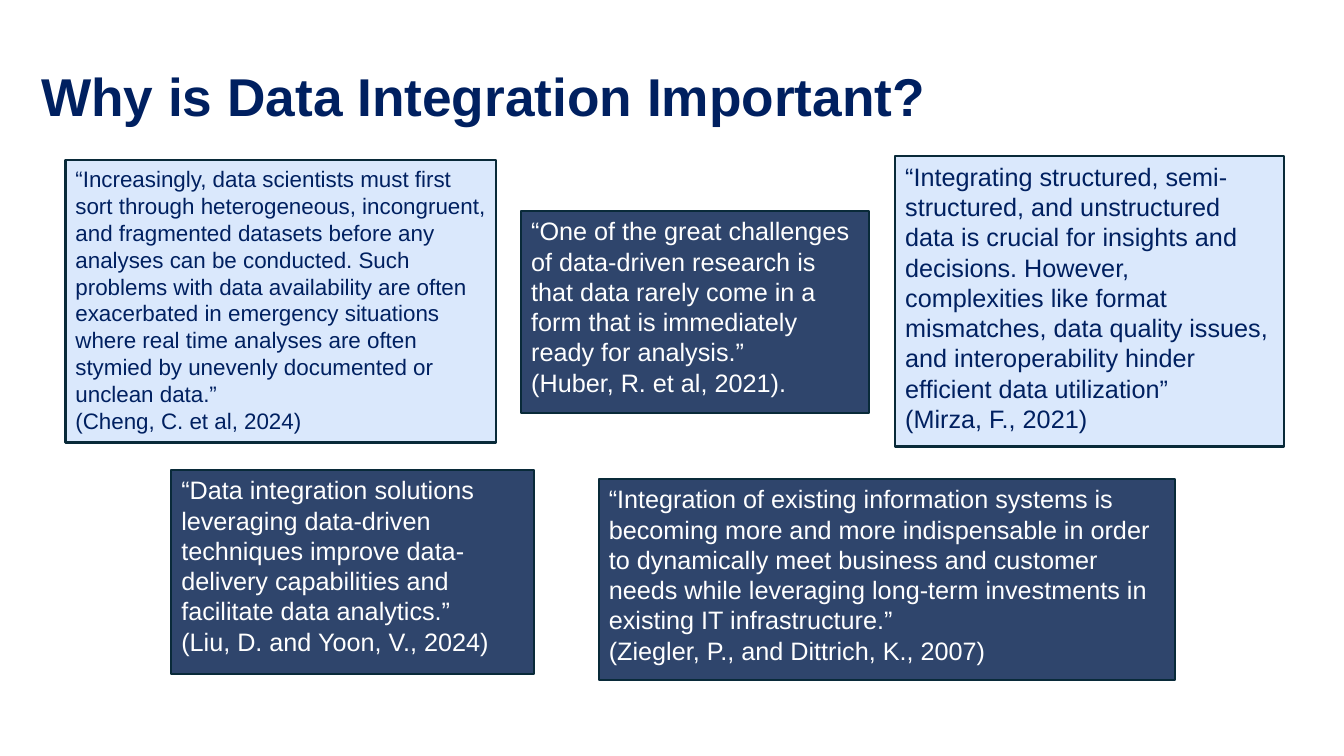
from pptx import Presentation
from pptx import util as u
from pptx.dml.color import RGBColor
from pptx.enum import shapes, text

# Content: (tone, size, (left, top, width, height), paragraphs)
TITLE = "Why is Data Integration Important?"
QUOTES = [
    ("light", "small", (0.65, 1.59, 4.27, 2.8), [
        "“Increasingly, data scientists must first sort through heterogeneous, "
        "incongruent, and fragmented datasets before any analyses can be conducted. "
        "Such problems with data availability are often exacerbated in emergency "
        "situations where real time analyses are often stymied by unevenly "
        "documented or unclean data.”",
        "(Cheng, C. et al, 2024)"]),
    ("light", "body", (8.88, 1.55, 3.86, 2.88), [
        "“Integrating structured, semi-",
        "structured, and unstructured data is crucial for insights and decisions. "
        "However, complexities like format",
        "mismatches, data quality issues, and interoperability hinder efficient "
        "data utilization”",
        "(Mirza, F., 2021)"]),
    ("dark", "body", (1.7, 4.66, 3.6, 2.03), [
        "“Data integration solutions leveraging data-driven techniques improve "
        "data-delivery capabilities and facilitate data analytics.”",
        "(Liu, D. and Yoon, V., 2024)"]),
    ("dark", "body", (5.17, 2.09, 3.45, 2.01), [
        "“One of the great challenges of data-driven research is that data rarely "
        "come in a form that is immediately ready for analysis.”",
        "(Huber, R. et al, 2021)."]),
    ("dark", "body", (5.94, 4.75, 5.71, 2), [
        "“Integration of existing information systems is becoming more and more "
        "indispensable in order to dynamically meet business and customer needs "
        "while leveraging long-term investments in existing IT infrastructure.”",
        "(Ziegler, P., and Dittrich, K., 2007)"]),
]

# Theme: tones are (fill, text colour)
THEME = {
    "font": "Arial",
    "ink": "002060",
    "edge": "092A39",
    "light": ("DAE8FC", "002060"),
    "dark": ("2F456C", "FFFFFF"),
    "title": 38, "body": 18, "small": 16,
}


def write(shape, lines, size, color, bold=False, anchor="TOP", spacing=None):
    frame = shape.text_frame
    frame.word_wrap = True
    frame.vertical_anchor = text.MSO_ANCHOR[anchor]
    frame.text = "\n".join(lines)
    for para in frame.paragraphs:
        para.alignment = text.PP_ALIGN.LEFT
        para.line_spacing = spacing
        font = para.font
        font.name, font.size, font.bold = THEME["font"], u.Pt(THEME[size]), bold
        font.color.rgb = RGBColor.from_string(color)


def add_quote(slide, tone, size, place, lines):
    fill, ink = THEME[tone]
    box = slide.shapes.add_shape(shapes.MSO_SHAPE.RECTANGLE, *map(u.Inches, place))
    box.shadow.inherit = False
    box.fill.solid()
    box.fill.fore_color.rgb = RGBColor.from_string(fill)
    box.line.color.rgb = RGBColor.from_string(THEME["edge"])
    box.line.width = u.Pt(1.5)
    write(box, lines, size, ink)


def main():
    deck = Presentation()
    deck.slide_width, deck.slide_height = u.Inches(13.33), u.Inches(7.5)
    slide = deck.slides.add_slide(deck.slide_layouts[6])

    # Title
    head = slide.shapes.add_textbox(*map(u.Inches, (0.31, 0.27, 12.36, 1.42)))
    write(head, [TITLE], "title", THEME["ink"], bold=True, anchor="MIDDLE", spacing=0.9)

    # Quote boxes
    for quote in QUOTES:
        add_quote(slide, *quote)

    deck.save("out.pptx")


if __name__ == "__main__":
    main()
